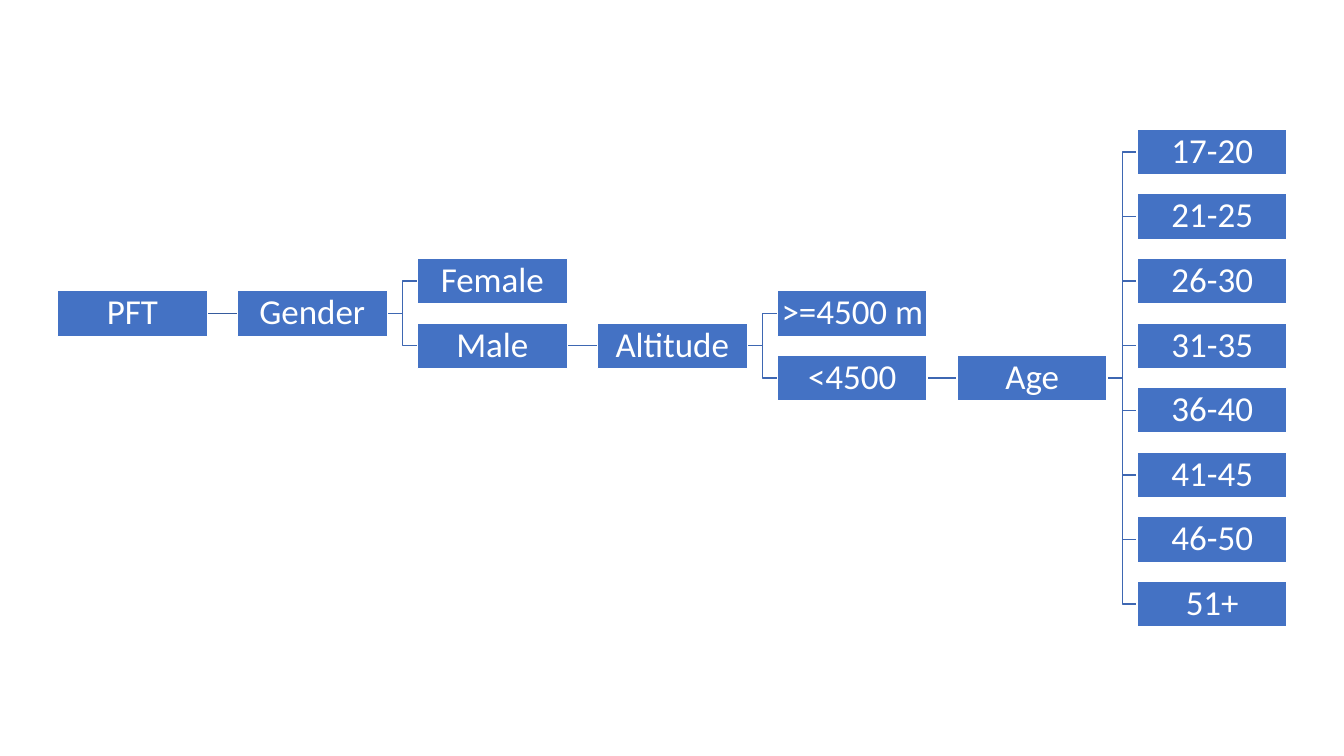
from pptx import Presentation
from pptx.dml.color import RGBColor
from pptx.enum.shapes import MSO_CONNECTOR, MSO_SHAPE
from pptx.enum.text import MSO_ANCHOR, PP_ALIGN
from pptx.oxml.ns import qn
from pptx.util import Pt
from lxml.etree import SubElement


def color(hex_string):
    return RGBColor.from_string(hex_string)


prs = Presentation()
prs.slide_width, prs.slide_height = Pt(960), Pt(540)
slide = prs.slides.add_slide(prs.slide_layouts[6])

# Tree: label, parent, level, rows above (-) or below (+) the slide's middle
AGES = ["17-20", "21-25", "26-30", "31-35", "36-40", "41-45", "46-50", "51+"]
tree = [
    ("PFT", None, 0, -1),
    ("Gender", "PFT", 1, -1),
    ("Female", "Gender", 2, -1.5),
    ("Male", "Gender", 2, -0.5),
    ("Altitude", "Male", 3, -0.5),
    (">=4500 m", "Altitude", 4, -1),
    ("<4500", "Altitude", 4, 0),
    ("Age", "<4500", 5, 0),
]
tree += [(age, "Age", 6, i - (len(AGES) - 1) / 2) for i, age in enumerate(AGES)]
row_of = {label: row for label, parent, level, row in tree}

LEFT, MIDDLE = 41, 270
LEVEL_STEP, ROW_STEP = 128.55, 46.12
BOX_WIDTH, BOX_HEIGHT = 107.15, 32.68

# Branches go first so that they lie behind the boxes
branches = []
for label, parent, level, row in tree:
    if parent is None:
        continue
    straight = row == row_of[parent]
    kind = MSO_CONNECTOR.STRAIGHT if straight else MSO_CONNECTOR.ELBOW
    branch = slide.shapes.add_connector(kind, 0, 0, 0, 0)
    branch.line.color.rgb = color("365B9D" if parent == "PFT" else "3E67B2")
    branch.line.width = Pt(1)
    SubElement(branch.element.spPr, qn("a:effectLst"))
    branches.append((branch, parent, label))

# Boxes
boxes = {}
for label, parent, level, row in tree:
    box = slide.shapes.add_shape(
        MSO_SHAPE.RECTANGLE,
        Pt(LEFT + level * LEVEL_STEP),
        Pt(MIDDLE + row * ROW_STEP - BOX_HEIGHT / 2),
        Pt(BOX_WIDTH), Pt(BOX_HEIGHT))
    box.shadow.inherit = False
    box.fill.solid()
    box.fill.fore_color.rgb = color("4472C4")
    box.line.color.rgb = color("FFFFFF")
    box.line.width = Pt(1)

    frame = box.text_frame
    frame.word_wrap = True
    frame.vertical_anchor = MSO_ANCHOR.MIDDLE
    frame.margin_left = frame.margin_right = Pt(1.25)
    frame.margin_top = frame.margin_bottom = Pt(1.25)
    paragraph = frame.paragraphs[0]
    paragraph.alignment = PP_ALIGN.CENTER
    paragraph.line_spacing = 0.9
    run = paragraph.add_run()
    run.text = label
    run.font.name = "Calibri"
    run.font.size = Pt(25)
    run.font.color.rgb = color("FFFFFF")
    boxes[label] = box

# Join each branch from the parent's right side to the child's left side
for branch, parent, label in branches:
    branch.begin_connect(boxes[parent], 3)
    branch.end_connect(boxes[label], 1)

prs.save("out.pptx")
